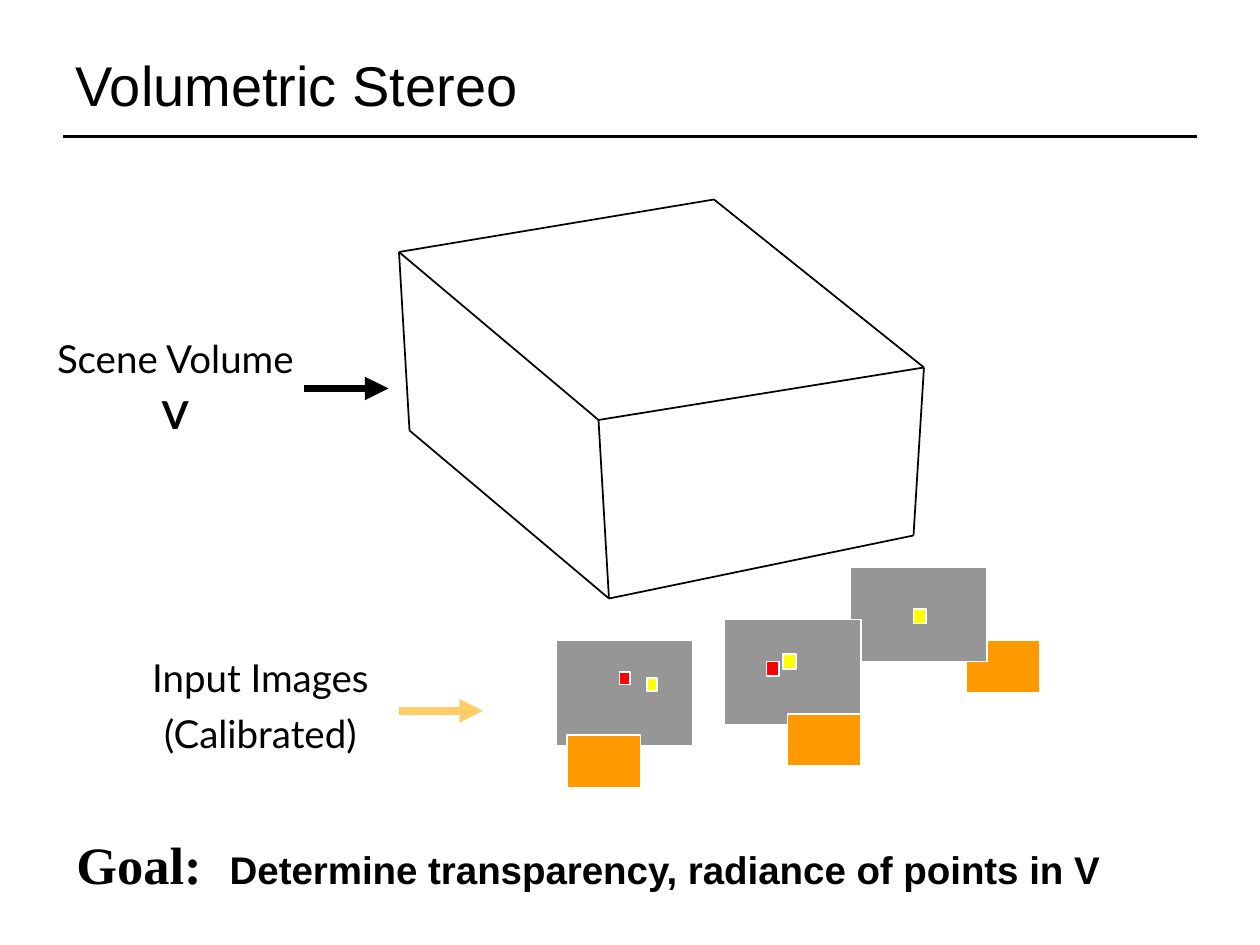
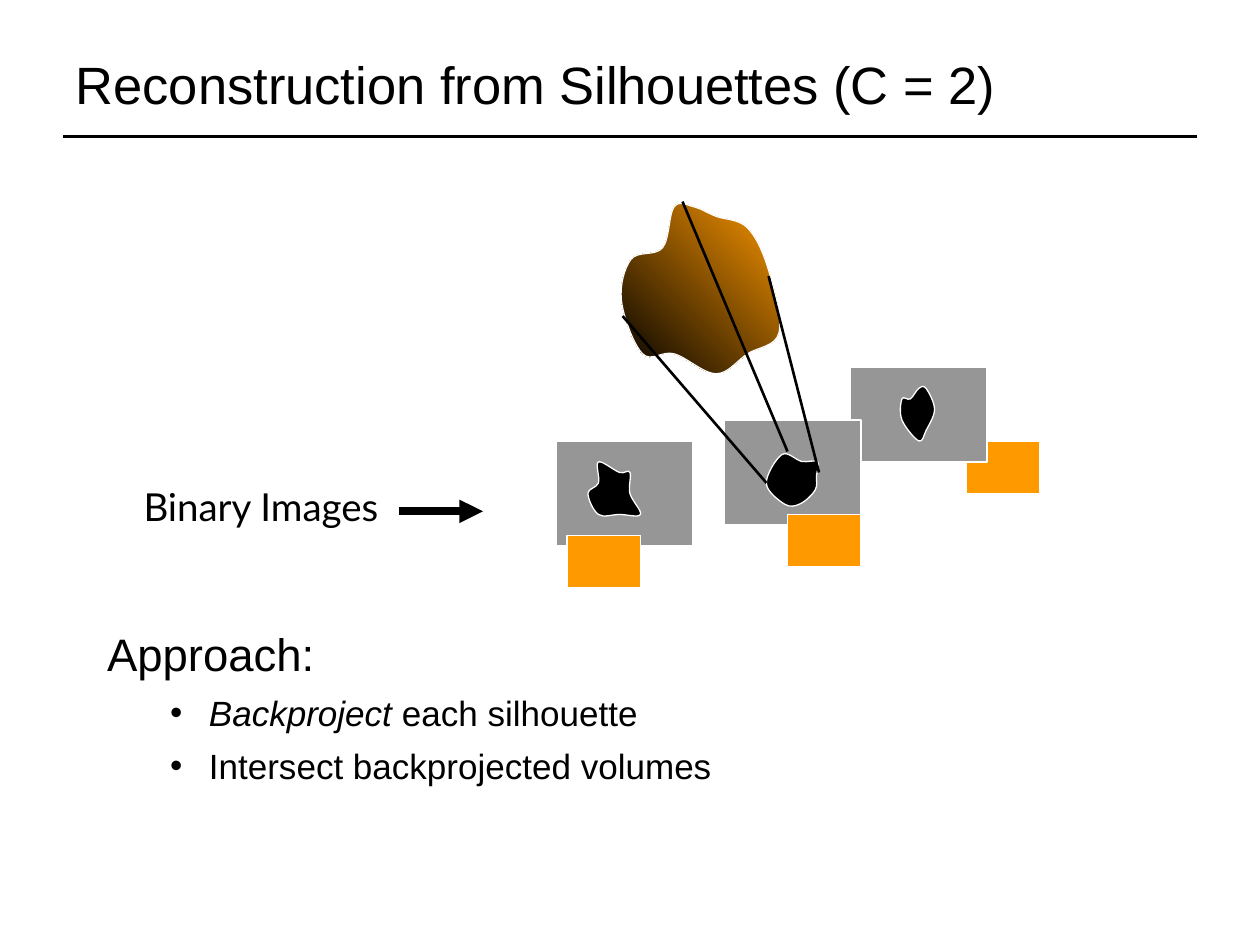
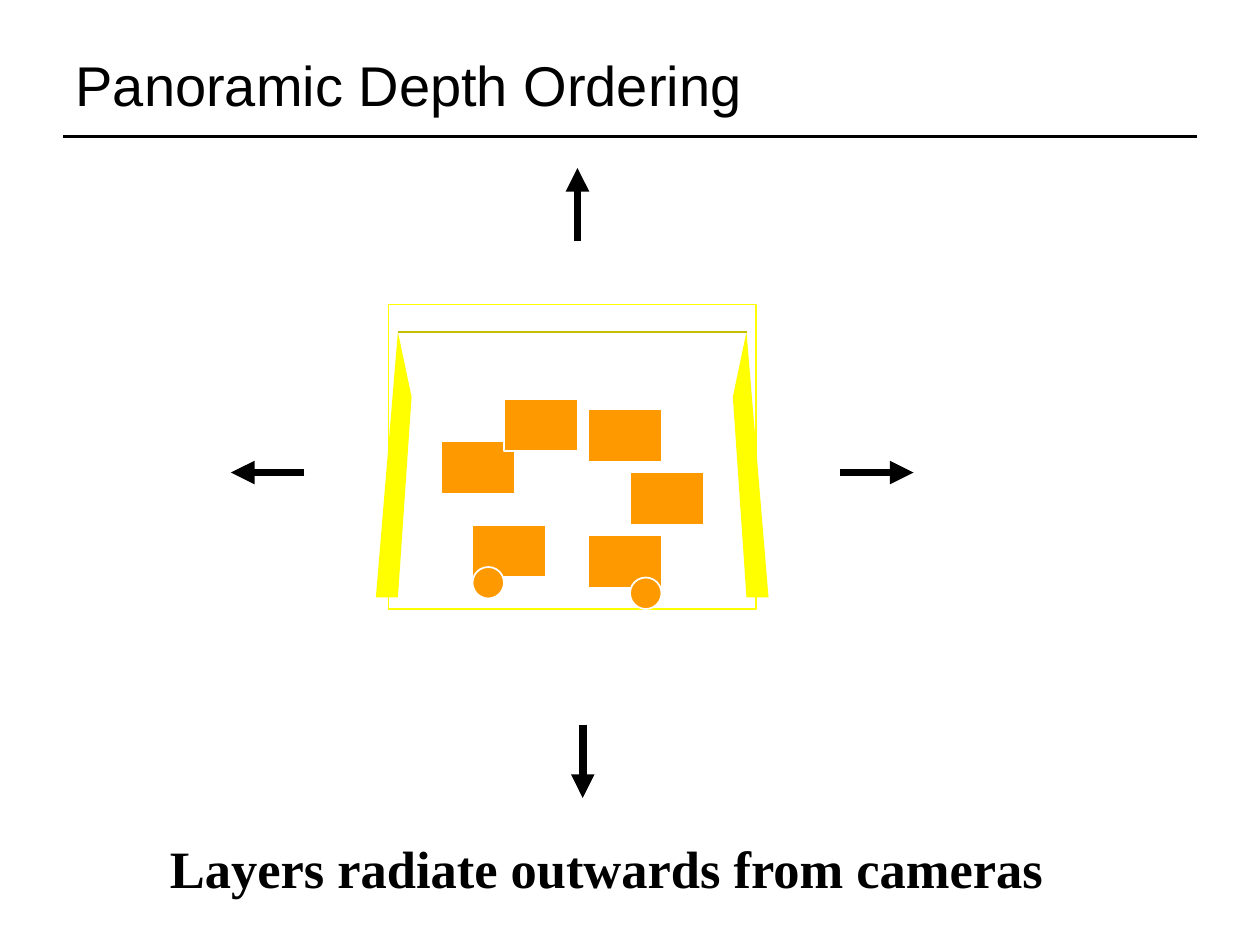
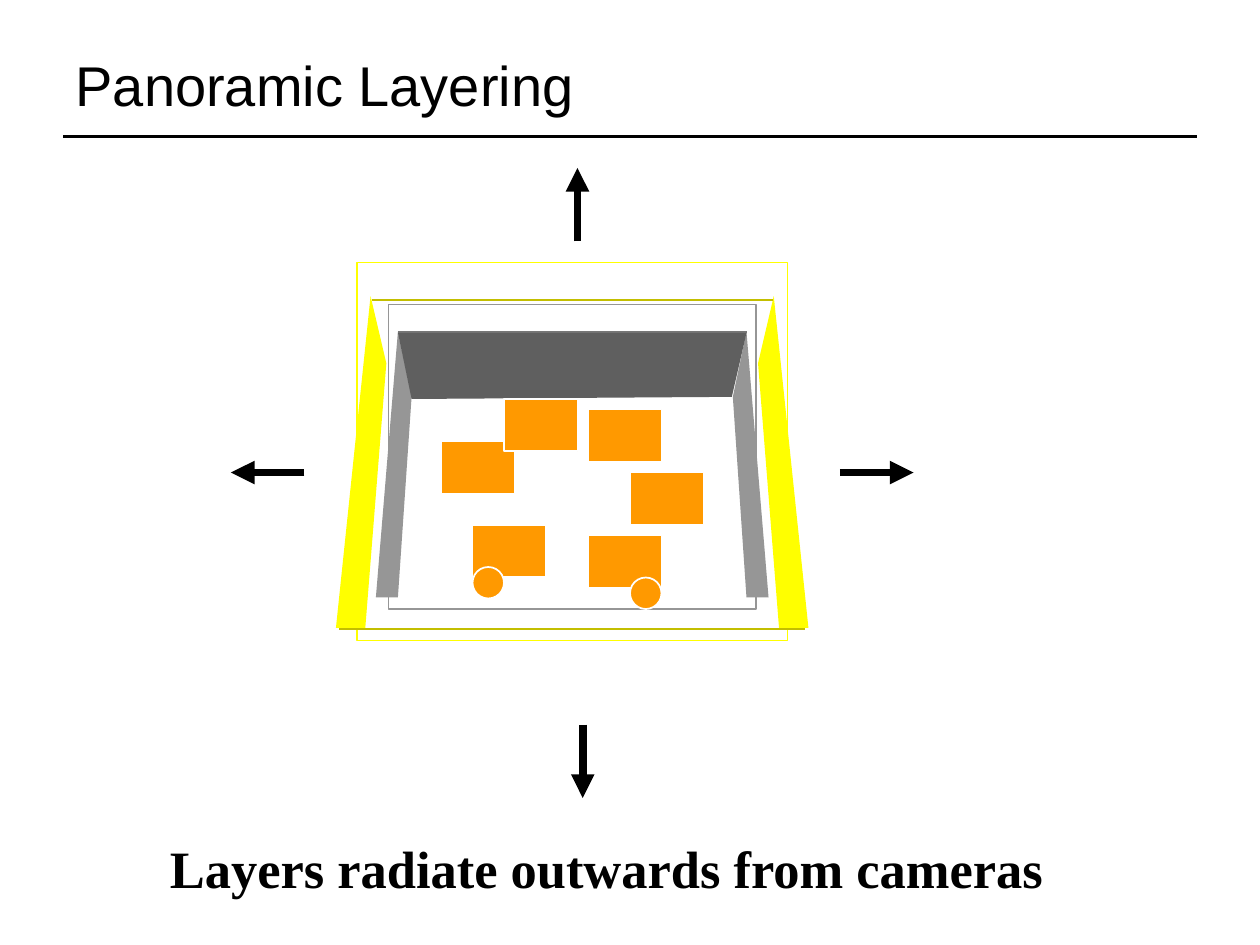
from pptx import Presentation
from pptx.dml.color import RGBColor
from pptx.enum.shapes import MSO_CONNECTOR, MSO_SHAPE
from pptx.enum.text import MSO_ANCHOR, MSO_AUTO_SIZE, PP_ALIGN
from pptx.oxml.ns import qn
from pptx.util import Pt
from lxml import etree

PX = 7620
WIDE, HIGH = 1200, 900
RECT, OVAL = MSO_SHAPE.RECTANGLE, MSO_SHAPE.OVAL
STRAIGHT = MSO_CONNECTOR.STRAIGHT
MIDDLE, TOP = MSO_ANCHOR.MIDDLE, MSO_ANCHOR.TOP
LEFT, CENTER = PP_ALIGN.LEFT, PP_ALIGN.CENTER
FIT = MSO_AUTO_SIZE.SHAPE_TO_FIT_TEXT

INK = {
    "black": "000000", "white": "FFFFFF", "orange": "FF9900",
    "sand": "FFCC66", "gray": "969696", "dark": "5F5F5F",
    "dim": "777777", "yellow": "FFFF00", "olive": "C3BE00", "red": "FF0000",
}
SANS, SERIF, LABEL = "Arial", "Times New Roman", "Lato"


def rgb(name):
    return RGBColor.from_string(INK[name])


def emu(*vals):
    return [round(v * PX) for v in vals]


def shift(pts, x, y):
    return [(x + a, y + b) for a, b in pts]


def paint(shape, fill, edge, width=1):
    shape.shadow.inherit = False
    if fill:
        shape.fill.solid()
        shape.fill.fore_color.rgb = rgb(fill)
    else:
        shape.fill.background()
    if edge:
        shape.line.color.rgb = rgb(edge)
        shape.line.width = Pt(width)
    else:
        shape.line.fill.background()
    return shape


def block(slide, box, fill, edge="white", kind=RECT):
    return paint(slide.shapes.add_shape(kind, *emu(*box)), fill, edge)


def line(slide, start, end, color="black", width=1, arrow=False):
    link = slide.shapes.add_connector(STRAIGHT, *emu(*start, *end))
    link.line.color.rgb = rgb(color)
    link.line.width = Pt(width)
    if arrow:
        etree.SubElement(link.line._ln, qn("a:tailEnd"), type="triangle")
    etree.SubElement(link._element.spPr, qn("a:effectLst"))
    return link


def arrow(slide, start, end, color="black"):
    line(slide, start, end, color, 4.5, True)


def outline(slide, pts, fill, edge=None):
    pts = [emu(*p) for p in pts]
    pen = slide.shapes.build_freeform(*pts[0], scale=1.0)
    pen.add_line_segments(pts[1:], close=True)
    return paint(pen.convert_to_shape(), fill, edge, 0.75)


def blob(slide, knots, fill="black"):
    pts, count = [knots[0]], len(knots)
    for i in range(count):
        a, b, c, d = (knots[(i + k) % count] for k in (-1, 0, 1, 2))
        pts.append([q + (r - p) / 6 for p, q, r in zip(a, b, c)])
        pts.append([q - (r - p) / 6 for p, q, r in zip(b, c, d)])
        pts.append(c)
    shape = outline(slide, pts, fill, "white")
    trace = shape._element.find(".//" + qn("a:path"))
    steps = trace.findall(qn("a:lnTo"))
    for i in range(0, len(steps) - 2, 3):
        bend = etree.Element(qn("a:cubicBezTo"))
        steps[i].addprevious(bend)
        for step in steps[i:i + 3]:
            bend.append(step[0])
            trace.remove(step)
    return shape


def style(font, size, face, bold=False):
    font.size = Pt(size)
    font.name = face
    font.bold = bold
    font.color.rgb = rgb("black")


def place(shape, box):
    shape.left, shape.top, shape.width, shape.height = emu(*box)


def label(slide, box, lines, size=22, face=LABEL, bold=False, align=CENTER):
    shape = slide.shapes.add_textbox(*emu(*box))
    frame = shape.text_frame
    frame.text = "\n".join(lines)
    frame.word_wrap = False
    frame.auto_size = FIT
    frame.vertical_anchor = MIDDLE
    for i, para in enumerate(frame.paragraphs):
        para.alignment = align
        if i:
            para.space_before = Pt(5.5)
        for run in para.runs:
            style(run.font, size, face, bold)
    return frame


def page(deck, text, layout=5, size=32):
    slide = deck.slides.add_slide(deck.slide_layouts[layout])
    title = slide.shapes.title
    place(title, (60, 20, 1080, 120))
    frame = title.text_frame
    frame.text = text
    frame.vertical_anchor = MIDDLE
    frame.paragraphs[0].alignment = LEFT
    style(frame.paragraphs[0].runs[0].font, size, SANS)
    return slide


def rule(deck, slide):
    bar = line(slide, (60, 130), (1140, 130), width=1.75)
    deck.slide_master.shapes._spTree.append(bar._element)


def solid(slide, x, y):
    spots = {"a": (0, 50), "b": (300, 0), "c": (500, 160), "d": (190, 210),
             "e": (10, 220), "f": (200, 380), "g": (490, 320)}
    for a, b in "da fe cb df ae cg dc fg ab".split():
        line(slide, *shift((spots[a], spots[b]), x, y))


def rig(slide, x, y):
    parts = [(390, 70, 0), (280, 0, 90), (160, 50, 100),
             (220, 140, 0), (0, 70, 100), (10, 160, 0)]
    for dx, dy, high in parts:
        if high:
            block(slide, (x + dx, y + dy, 130, high), "gray")
        else:
            block(slide, (x + dx, y + dy, 70, 50), "orange")


def marks(slide, x, y):
    dots = [(340, 40, 12, 14, "yellow"), (216, 83, 12, 14, "yellow"),
            (200, 90, 12, 14, "red"), (60, 100, 10, 12, "red"),
            (86, 106, 10, 12, "yellow")]
    for dx, dy, wide, high, color in dots:
        block(slide, (x + dx, y + dy, wide, high), color)


def masks(slide, x, y):
    star = [(70, 100), (60, 100), (40, 90), (40, 110), (30, 120),
            (40, 140), (60, 140), (80, 140), (70, 120)]
    round_mask = [(251, 108), (244, 90), (232, 84), (220, 78),
                  (214, 92), (201, 107), (221, 131), (246, 122)]
    slim = [(352, 20), (345, 20), (337, 30), (329, 30),
            (329, 50), (345, 70), (352, 60), (360, 40)]
    blob(slide, shift(star, x, y))
    blob(slide, shift(round_mask, x, y)).rotation = 68.3
    blob(slide, shift(slim, x, y))


def rock(slide, x, y):
    knots = [(52, 7), (41, 46), (11, 57), (2, 97), (22, 147), (52, 147),
             (92, 166), (122, 147), (152, 127), (142, 67), (122, 27),
             (92, 16), (71, 7)]
    fill = blob(slide, shift(knots, x, y)).fill
    fill.gradient()
    fill.gradient_angle = 225
    for stop, color in zip(fill.gradient_stops, ("orange", "black")):
        stop.color.rgb = rgb(color)


def rays(slide, x, y):
    for start, end in [((160, 240), (60, 2)), ((140, 270), (3, 111)),
                       ((190, 260), (142, 73))]:
        line(slide, *shift((start, end), x, y), width=1.5)


def steps(slide, box):
    body = slide.placeholders[1]
    place(body, box)
    frame = body.text_frame
    frame.vertical_anchor = TOP
    frame.text = "Approach:\n\nIntersect backprojected volumes"
    head, first, last = frame.paragraphs
    for text in ("Backproject", " each silhouette"):
        first.add_run().text = text
    props = head._p.get_or_add_pPr()
    props.set("marL", "0")
    props.set("indent", "0")
    head.space_before = Pt(0)
    etree.SubElement(props, qn("a:buNone"))
    for para in (first, last):
        para.level = 1
        para.space_before = Pt(6.2)
        props = para._p.get_or_add_pPr()
        props.set("marL", str(97 * PX))
        props.set("indent", str(-37 * PX))
        tint = etree.SubElement(props, qn("a:buClr"))
        etree.SubElement(tint, qn("a:srgbClr"), val=INK["black"])
        etree.SubElement(props, qn("a:buFont"), typeface=SANS)
        etree.SubElement(props, qn("a:buChar"), char="•")
    for para, size in ((head, 26), (first, 20), (last, 20)):
        for run in para.runs:
            style(run.font, size, SANS)
    first.runs[0].font.italic = True


def goal(slide, box):
    frame = label(slide, box, ["Goal:\t"], 30, SERIF, True, LEFT)
    para = frame.paragraphs[0]
    tabs = etree.SubElement(para._p.get_or_add_pPr(), qn("a:tabLst"))
    etree.SubElement(tabs, qn("a:tab"), pos=str(146 * PX), algn="l")
    run = para.add_run()
    run.text = "Determine transparency, radiance of points in V"
    style(run.font, 22, SANS, True)


INNER = (370, 290, 350, 290)
INNER_WALL = [(9, 26), (-12, 279), (9, 279), (22, 88)]
OUTER = (340, 250, 410, 360)
OUTER_WALL = [(13, 32), (-20, 348), (8, 348), (28, 96)]


def layer(slide, box, wall, fill, edge, beams):
    x, y, wide, _ = box
    block(slide, box, None, fill)
    outline(slide, shift(wall, x, y), fill)
    outline(slide, shift([(wide - a, b) for a, b in wall], x, y), fill)
    for dx, dy in beams:
        line(slide, (x + dx, y + dy), (x + wide - dx, y + dy), edge)


def ring(slide, x, y):
    for dx, dy in [(50, 130), (110, 90), (190, 100), (230, 160),
                   (80, 210), (190, 220)]:
        block(slide, (x + dx, y + dy, 70, 50), "orange")
    for dx, dy in [(80, 250), (230, 260)]:
        block(slide, (x + dx, y + dy, 30, 30), "orange", kind=OVAL)


def spread(slide):
    for start, end in [((800, 450), (870, 450)), ((290, 450), (220, 450)),
                       ((555, 690), (555, 760)), ((550, 230), (550, 160))]:
        arrow(slide, start, end)
    label(slide, (150, 790, 857, 72),
          ["Layers radiate outwards from cameras"], 30, SERIF, True, LEFT)


def volume(deck):
    slide = page(deck, "Volumetric Stereo")
    rule(deck, slide)
    rig(slide, 530, 540)
    marks(slide, 530, 540)
    frame = label(slide, (34, 313, 266, 109), ["Scene Volume", "V"])
    frame.paragraphs[1].runs[0].font.bold = True
    label(slide, (121, 617, 254, 109), ["Input Images", "(Calibrated)"])
    arrow(slide, (380, 677), (460, 677), "sand")
    solid(slide, 380, 190)
    arrow(slide, (290, 370), (370, 370))
    goal(slide, (61, 786, 1000, 72))


def shadows(deck):
    slide = page(deck, "Reconstruction from Silhouettes (C = 2)", 1, 30)
    rig(slide, 530, 350)
    label(slide, (113, 454, 271, 56), ["Binary Images"])
    arrow(slide, (380, 487), (460, 487))
    rock(slide, 590, 190)
    masks(slide, 530, 350)
    rays(slide, 590, 190)
    steps(slide, (90, 590, 1020, 190))


def depth(deck):
    slide = page(deck, "Panoramic Depth Ordering")
    layer(slide, INNER, INNER_WALL, "yellow", "olive", [(9, 26)])
    ring(slide, *INNER[:2])
    spread(slide)


def layers(deck):
    slide = page(deck, "Panoramic Layering")
    layer(slide, INNER, INNER_WALL, "gray", "dim", [(9, 26)])
    layer(slide, OUTER, OUTER_WALL, "yellow", "olive",
          [(-17, 349), (14, 36)])
    back = [(22, 90), (9, 27), (341, 27), (327, 88)]
    outline(slide, shift(back, *INNER[:2]), "dark")
    ring(slide, *INNER[:2])
    spread(slide)


def main():
    deck = Presentation()
    deck.slide_width, deck.slide_height = emu(WIDE, HIGH)
    for build in (volume, shadows, depth, layers):
        build(deck)
    deck.save("out.pptx")


if __name__ == "__main__":
    main()
